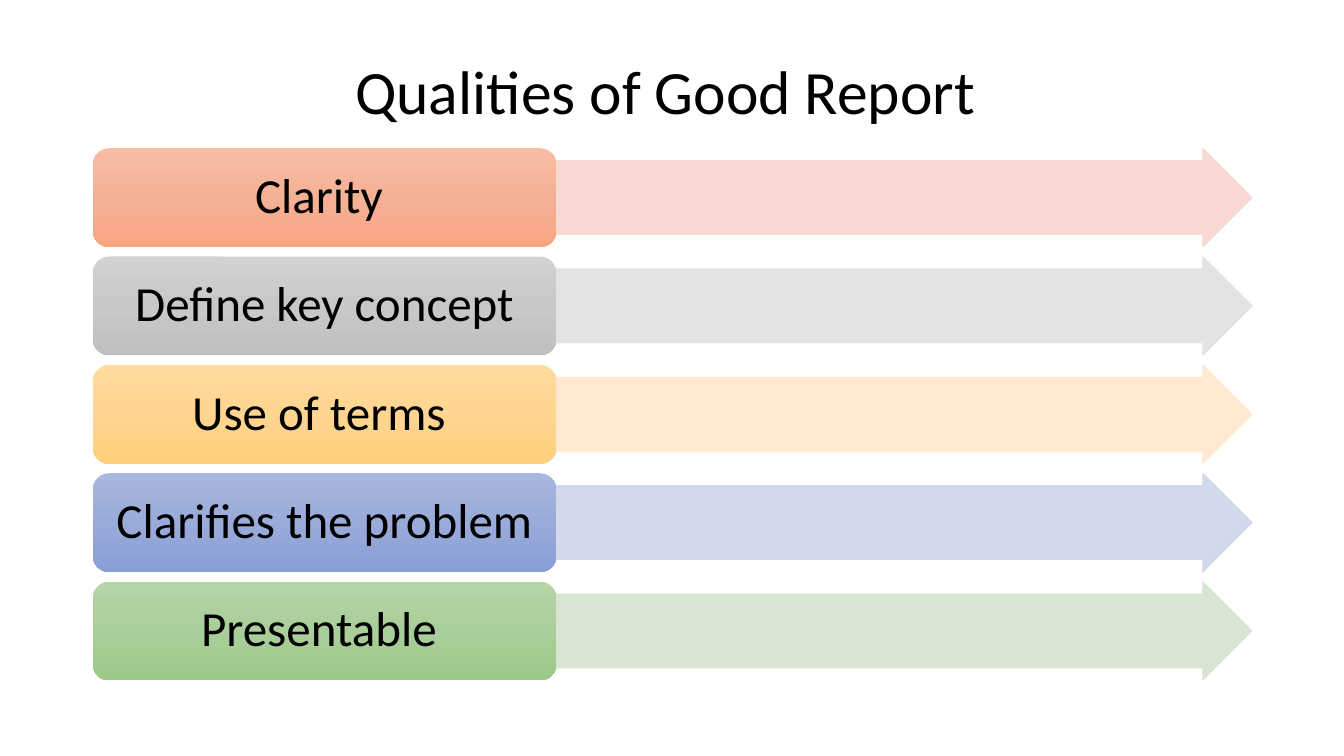
from copy import deepcopy

from lxml import etree
from pptx import Presentation
from pptx.dml.color import RGBColor
from pptx.enum.shapes import MSO_SHAPE
from pptx.enum.text import MSO_ANCHOR, PP_ALIGN
from pptx.oxml.ns import qn
from pptx.util import Inches, Pt

ROUND_RECT = MSO_SHAPE.ROUNDED_RECTANGLE
ARROW = MSO_SHAPE.RIGHT_ARROW
MIDDLE = MSO_ANCHOR.MIDDLE
CENTER = PP_ALIGN.CENTER
BLACK = RGBColor(0x00, 0x00, 0x00)

# Content: label, gradient from top to bottom, arrow colour
TITLE = "Qualities of Good Report "
QUALITIES = [
    ("Clarity ", ("F7BDA5", "F5B196", "F8A582"), "F8D7CE"),
    ("Define key concept", ("D2D2D2", "C8C8C8", "C0C0C0"), "E1E1E1"),
    ("Use of terms ", ("FFDB9E", "FFD590", "FFD07C"), "FFE8CC"),
    ("Clarifies the problem ", ("A8B7DF", "9AABD9", "889ED7"), "CFD5EA"),
    ("Presentable ", ("B5D5A7", "AACE9A", "9CC987"), "D5E3CF"),
]

# Layout in inches
LEFT, TOP = 0.92, 1.47
LABEL_W, ARROW_W, ROW_H = 4.6, 6.9, 0.98
PITCH = 1.075


def write(sp, text, size, inset_x=0.1, inset_y=0.05):
    tf = sp.text_frame
    tf.word_wrap = True
    tf.vertical_anchor = MIDDLE
    tf.margin_left = tf.margin_right = Inches(inset_x)
    tf.margin_top = tf.margin_bottom = Inches(inset_y)
    p = tf.paragraphs[0]
    p.alignment = CENTER
    p.line_spacing = 0.9
    r = p.add_run()
    r.text = text
    r.font.size = Pt(size)
    r.font.name = "Calibri"
    r.font.color.rgb = BLACK


def add_shape(kind, x, y, w):
    sp = slide.shapes.add_shape(kind, Inches(x), Inches(y), Inches(w), Inches(ROW_H))
    sp.shadow.inherit = False
    return sp


def fill_gradient(sp, colors):
    sp.fill.gradient()
    sp.fill.gradient_angle = 270
    stops = sp._element.spPr.find(".//" + qn("a:gsLst"))
    stops.insert(1, deepcopy(stops[0]))
    for stop, position, color in zip(sp.fill.gradient_stops, (0, 0.5, 1), colors):
        stop.position = position
        stop.color.rgb = RGBColor.from_string(color)


def fill_arrow(sp, color):
    sp.fill.solid()
    sp.fill.fore_color.rgb = sp.line.color.rgb = RGBColor.from_string(color)
    sp.line.width = Pt(0.5)
    # 90 % opacity for both fill and outline
    for clr in sp._element.spPr.iter(qn("a:srgbClr")):
        etree.SubElement(clr, qn("a:alpha")).set("val", "90000")


prs = Presentation()
prs.slide_width, prs.slide_height = Inches(13.33), Inches(7.5)
slide = prs.slides.add_slide(prs.slide_layouts[6])

# Title
title = slide.shapes.add_textbox(Inches(LEFT), Inches(0.4), Inches(11.5), Inches(1.07))
write(title, TITLE, 44)

# One label and arrow per quality
for i, (label, gradient, arrow_color) in enumerate(QUALITIES):
    y = TOP + i * PITCH
    arrow = add_shape(ARROW, LEFT + LABEL_W, y, ARROW_W)
    arrow.adjustments[0], arrow.adjustments[1] = 0.75, 0.5
    fill_arrow(arrow, arrow_color)

    box = add_shape(ROUND_RECT, LEFT, y, LABEL_W)
    fill_gradient(box, gradient)
    box.line.fill.background()
    write(box, label, 35, inset_x=0.15, inset_y=0.07)

prs.save("out.pptx")
